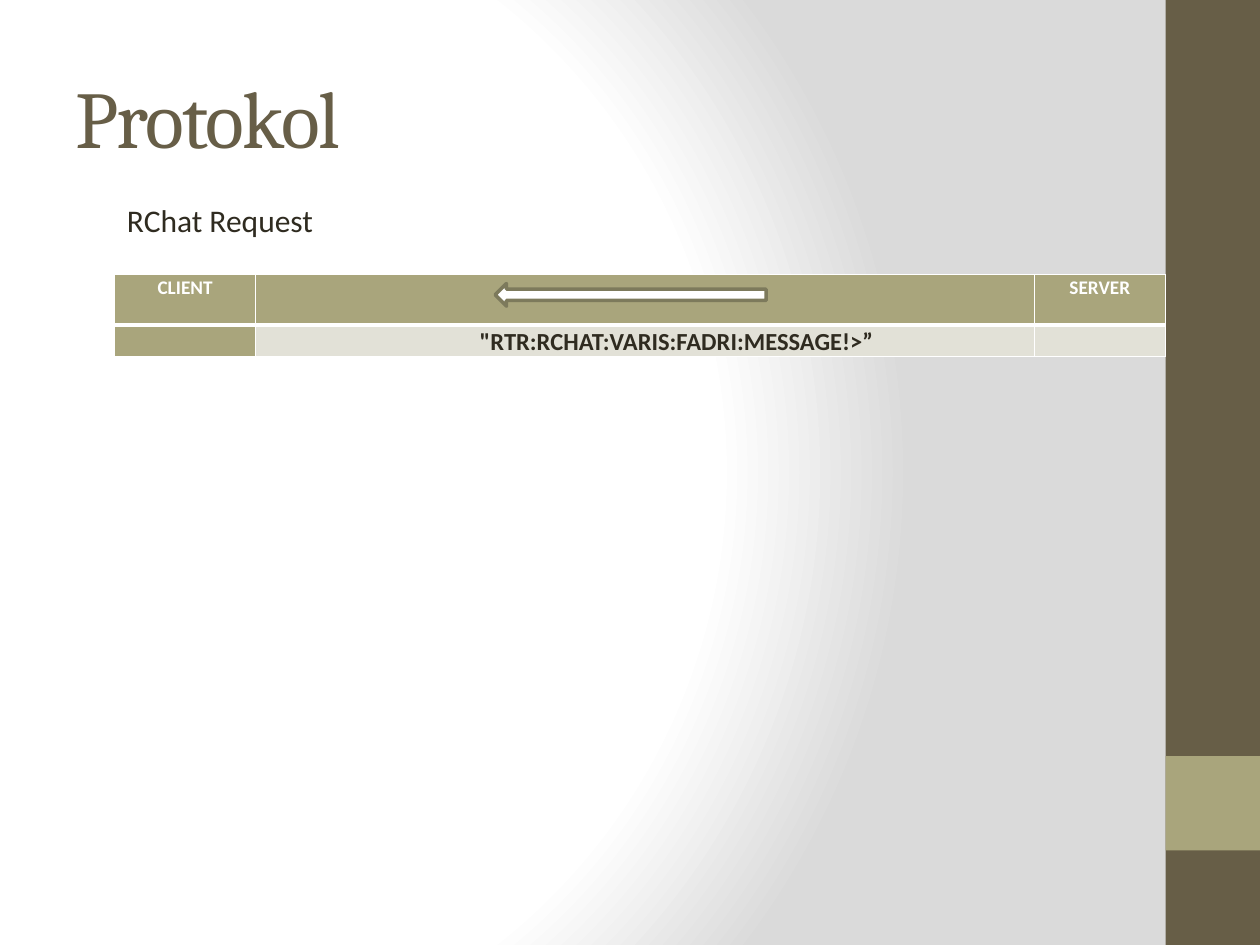
import pptx
import pptx.util
import pptx.oxml
import pptx.oxml.ns
import pptx.dml.color
import pptx.enum.shapes
import pptx.enum.text

Inch = pptx.util.Inches
Pt = pptx.util.Pt
Shape = pptx.enum.shapes.MSO_SHAPE
Align = pptx.enum.text.PP_ALIGN
Anchor = pptx.enum.text.MSO_ANCHOR
WIDE, HIGH = 10, 7.5
DARK, SAND, PALE, INK, WHITE = "675E47", "A9A57C", "E2E1D7", "2F2B20", "FFFFFF"
NS = 'xmlns:a="http://schemas.openxmlformats.org/drawingml/2006/main"'
HEAD = {"size": Pt(11), "bold": True, "name": "Calibri"}
CODE = {"size": Pt(14), "bold": True, "name": "Calibri"}


def color(code):
    """Turn a hex string into a colour."""
    return pptx.dml.color.RGBColor.from_string(code)


def style(item, form):
    """Set attributes from a dict of format values."""
    for key, value in form.items():
        setattr(item, key, value)


def write(par, text, form, code):
    """Add one formatted run to a paragraph."""
    run = par.add_run()
    run.text = text
    style(run.font, form)
    run.font.color.rgb = color(code)
    return run


def block(slide, kind, box, fill, line=None):
    """Draw a flat preset shape in a box, with an optional outline."""
    shape = slide.shapes.add_shape(kind, *map(Inch, box))
    shape.shadow.inherit = False
    shape.fill.solid()
    shape.fill.fore_color.rgb = color(fill)
    if line:
        shape.line.color.rgb = color(line)
        shape.line.width = Pt(2)
    else:
        shape.line.fill.background()


def label(slide, box, text, form, code, anchor):
    """Place a wrapped line of text in a box."""
    frame = slide.shapes.add_textbox(*map(Inch, box)).text_frame
    style(frame, {"word_wrap": True, "vertical_anchor": anchor})
    return write(frame.paragraphs[0], text, form, code)


def ground(slide):
    """Fill the slide with a round white to grey gradient."""
    stops = "".join(
        f'<a:gs pos="{pos * 1000}"><a:srgbClr val="{code}"/></a:gs>'
        for pos, code in ((0, WHITE), (75, WHITE), (100, "DADADA")))
    slide._element.cSld.insert(0, pptx.oxml.parse_xml(
        f'<p:bg {NS} xmlns:p="http://schemas.openxmlformats.org/presentationml/2006/main">'
        f'<p:bgPr><a:gradFill rotWithShape="1"><a:gsLst>{stops}</a:gsLst>'
        '<a:path path="circle"><a:fillToRect l="20000" t="50000" r="100000" b="50000"/>'
        '</a:path></a:gradFill><a:effectLst/></p:bgPr></p:bg>'))


def band(slide, box):
    """Draw the side band with a square accent near its foot."""
    left, top, width, high = box
    block(slide, Shape.RECTANGLE, box, DARK)
    block(slide, Shape.RECTANGLE, (left, top + high * 0.8, width, width), SAND)


def edge(cell, widths):
    """Give a cell white borders: left, right, top, bottom in points."""
    props = cell._tc.get_or_add_tcPr()
    for spot, (side, width) in enumerate(zip("LRTB", widths)):
        props.insert(spot, pptx.oxml.parse_xml(
            f'<a:ln{side} {NS} w="{Pt(width)}"><a:solidFill>'
            f'<a:srgbClr val="{WHITE}"/></a:solidFill></a:ln{side}>'))


def fill_cell(cell, text, form, code, fill):
    """Set the fill, insets and centred text of a cell."""
    style(cell, {"margin_left": Inch(0.07), "margin_right": Inch(0.07),
                 "margin_top": 0, "margin_bottom": 0})
    cell.fill.solid()
    cell.fill.fore_color.rgb = color(fill)
    par = cell.text_frame.paragraphs[0]
    style(par, {"alignment": Align.CENTER, "line_spacing": 1.07})
    if text:
        write(par, text, form, code)
    else:
        par._p.append(pptx.oxml.parse_xml(f'<a:endParaRPr {NS} sz="1100"/>'))
    return par


def grid(slide, box):
    """Build the request table and its arrow from server to client."""
    left, top, width, high = box
    rows = (("CLIENT", "", "SERVER"),
            ("", '"RTR:RCHAT:VARIS:FADRI:MESSAGE!>”', ""))
    looks = ((HEAD, WHITE, (SAND, SAND, SAND), (1, 1, 1, 3)),
             (CODE, INK, (SAND, PALE, PALE), (1, 1, 3, 1)))
    table = slide.shapes.add_table(2, 3, *map(Inch, box)).table
    table.horz_banding = False
    for col, size in zip(table.columns, (1.12, 6.18, 1.04)):
        col.width = Inch(size)
    for row, size in zip(table.rows, (0.4, high - 0.4)):
        row.height = Inch(size)
    for row, texts, (form, code, fills, lines) in zip(table.rows, rows, looks):
        for cell, text, fill in zip(row.cells, texts, fills):
            fill_cell(cell, text, form, code, fill)
            edge(cell, lines)
    par = table.cell(1, 1).text_frame.paragraphs[0]
    par._p.get_or_add_pPr().set("marL", str(Inch(0.5)))
    block(slide, Shape.LEFT_ARROW, (left + 3.02, top + 0.07, 2.15, 0.18),
          WHITE, "7D7A5C")


def build():
    """Make the slide and save it."""
    deck = pptx.Presentation()
    style(deck, {"slide_width": Inch(WIDE), "slide_height": Inch(HIGH)})
    slide = deck.slides.add_slide(deck.slide_layouts[6])
    ground(slide)
    band(slide, (WIDE * 0.925, 0, WIDE * 0.075, HIGH))
    title = label(slide, (0.5, 0.3, 8.33, 1.25), "Protokol",
                  {"size": Pt(46), "name": "Cambria"}, DARK, Anchor.MIDDLE)
    title._r.get_or_add_rPr().set("spc", "-100")
    label(slide, (0.91, 1.55, 3.03, 0.4), "RChat Request",
          {"size": Pt(18), "name": "Calibri"}, INK, Anchor.TOP)
    grid(slide, (0.91, 2.18, 8.34, 0.65))
    deck.save("out.pptx")


build()
